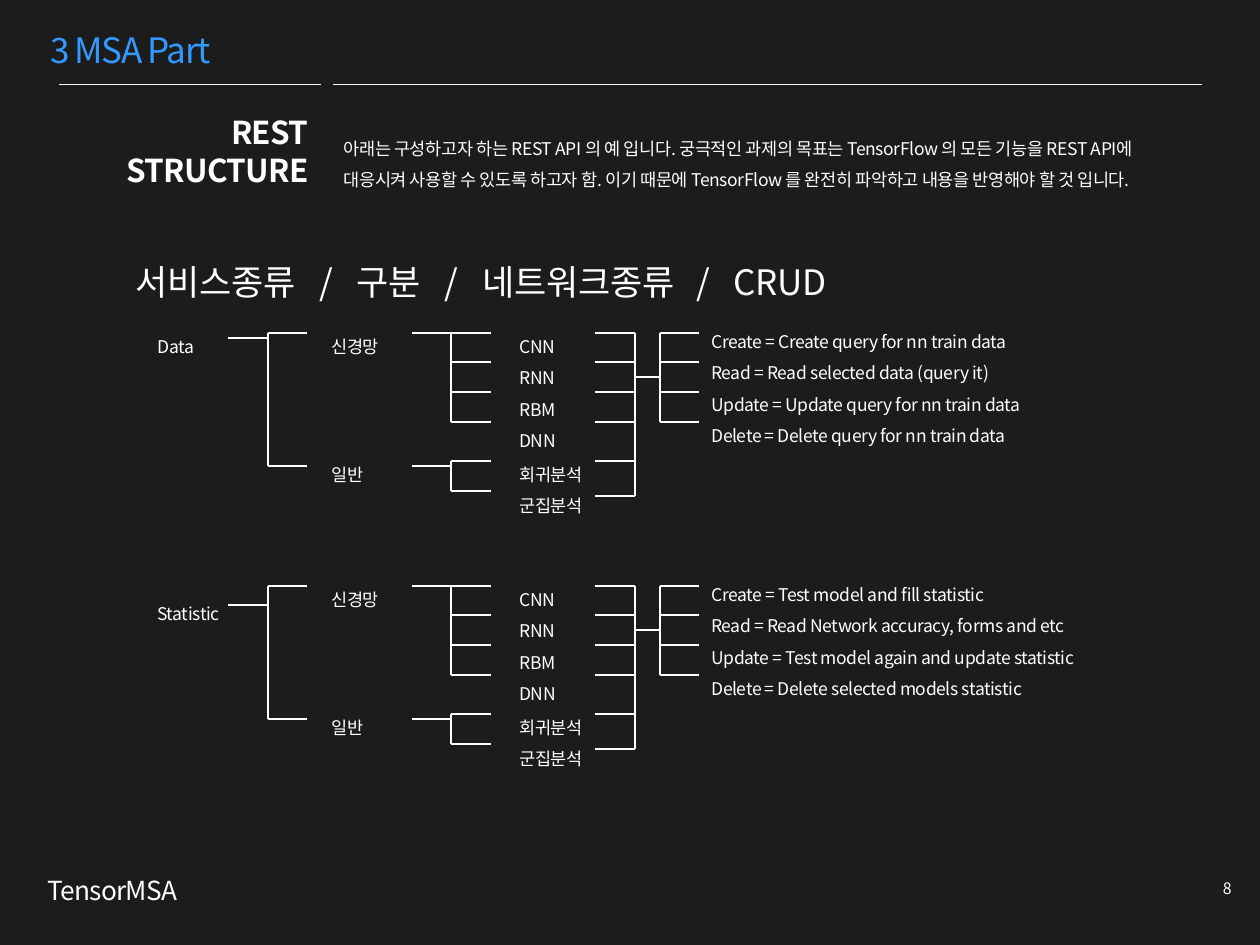
import pptx
import pptx.dml.color
import pptx.enum.shapes
import pptx.enum.text
import pptx.util
from lxml import etree

PX = 914400 / 126
FONT = "Noto Sans CJK KR"
NS = "{http://schemas.openxmlformats.org/drawingml/2006/main}"
LEFT = pptx.enum.text.PP_ALIGN.LEFT
RIGHT = pptx.enum.text.PP_ALIGN.RIGHT
rgb = pptx.dml.color.RGBColor.from_string

presentation = pptx.Presentation()
presentation.slide_width = pptx.util.Inches(10)
presentation.slide_height = pptx.util.Inches(7.5)
slide = presentation.slides.add_slide(presentation.slide_layouts[1])
slide.background.fill.solid()
slide.background.fill.fore_color.rgb = rgb("1C1C1C")


def write(place, lines, size=10, spacing=-20, leading=1.5, color="FFFFFF",
          bold=False, align=LEFT, holder=None, tabs=()):
    box = holder or slide.shapes.add_textbox(0, 0, 0, 0)
    box.left, box.top, box.width, box.height = [round(n * PX) for n in place]
    frame = box.text_frame
    frame.auto_size = pptx.enum.text.MSO_AUTO_SIZE.NONE
    frame.word_wrap = True
    for index, line in enumerate(lines):
        paragraph = frame.add_paragraph() if index else frame.paragraphs[0]
        properties = paragraph._p.get_or_add_pPr()
        if holder:
            properties.set("marL", "0")
            properties.set("indent", "0")
            etree.SubElement(properties, NS + "buNone")
        if tabs:
            stops = etree.SubElement(properties, NS + "tabLst")
            for stop in tabs:
                etree.SubElement(stops, NS + "tab", pos=str(round(stop * PX)), algn="l")
        paragraph.alignment = align
        paragraph.line_spacing = leading
        paragraph.space_before = pptx.util.Pt(0)
        run = paragraph.add_run()
        run.text = line
        run.font.size = pptx.util.Pt(size)
        run.font.bold = bold
        run.font.name = FONT
        run.font.color.rgb = rgb(color)
        run_properties = run._r.get_or_add_rPr()
        run_properties.set("spc", str(spacing))
        etree.SubElement(run_properties, NS + "ea", typeface=FONT)
    return frame


def connect(x1, y1, x2, y2, width=0.75, color="FFFFFF"):
    ends = [round(n * PX) for n in (x1, y1, x2, y2)]
    line = slide.shapes.add_connector(pptx.enum.shapes.MSO_CONNECTOR.STRAIGHT, *ends)
    line.line.width = pptx.util.Pt(width)
    line.line.color.rgb = rgb(color)
    etree.SubElement(line._element.spPr, NS + "effectLst")


for start, end in ((59, 321), (333, 1202)):
    connect(start, 84, end, 84, 0.25, "F2F2F2")

title = write((50, 29, 316, 40), ["3 MSA Part"], 20, -80, 1, "3399FF",
              holder=slide.shapes.title)
title.vertical_anchor = pptx.enum.text.MSO_ANCHOR.MIDDLE
title.margin_left = title.margin_top = title.margin_right = title.margin_bottom = 0

write((44, 107, 277, 203), ["REST", "STRUCTURE"], 18, -40, 1, bold=True, align=RIGHT)
write((331, 121, 868, 96), [
    "아래는 구성하고자 하는 REST API 의 예 입니다. 궁극적인 과제의 목표는 TensorFlow 의 모든 기능을 REST API에",
    "대응시켜 사용할 수 있도록 하고자 함. 이기 때문에 TensorFlow 를 완전히 파악하고 내용을 반영해야 할 것 입니다.",
], holder=slide.placeholders[1])
write((123, 233, 1126, 83),
      ["\t".join(["서비스종류", "/", "구분", "/", "네트워크종류", "/", "CRUD"])],
      20, tabs=(184, 221, 309, 347, 561, 598))

services = [
    ("Data", 333, 5, -14, [
        "Create = Create query for nn train data",
        "Read = Read selected data (query it)",
        "Update = Update query for nn train data",
        "Delete = Delete query for nn train data",
    ]),
    ("Statistic", 586, 19, 0, [
        "Create = Test model and fill statistic",
        "Read = Read Network accuracy, forms and etc",
        "Update = Test model again and update statistic",
        "Delete = Delete selected models statistic",
    ]),
]
neural_rows = [0, 29, 59, 89]
branches = [
    (268, 307, [0, 133]),
    (451, 412, [0, 133]),
    (451, 491, neural_rows + [128, 158]),
    (635, 595, neural_rows + [128, 163]),
    (660, 699, neural_rows),
]
trunks = [(268, 0, 133), (451, 0, 89), (451, 128, 158), (635, 0, 163), (660, 0, 89)]

for service, top, stem, label, queries in services:
    write((145, top + label, 108, 39), [service])
    write((319, top - 14, 88, 53), ["신경망"])
    write((319, top + 114, 118, 39), ["일반"])
    write((507, top - 14, 282, 152), ["CNN", "RNN", "RBM", "DNN"])
    write((507, top + 114, 152, 92), ["회귀분석", "군집분석"])
    write((699, top - 19, 535, 152), queries)
    connect(228, top + stem, 268, top + stem)
    connect(635, top + 44, 660, top + 44)
    for trunk, first, last in trunks:
        connect(trunk, top + first, trunk, top + last)
    for trunk, tip, rows in branches:
        for row in rows:
            connect(trunk, top + row, tip, top + row)

write((35, 868, 163, 52), ["TensorMSA"], 15, -40, 1)
write((1172, 873, 72, 32), ["8"], 9, 0, 1, align=RIGHT).word_wrap = False

presentation.save("out.pptx")
